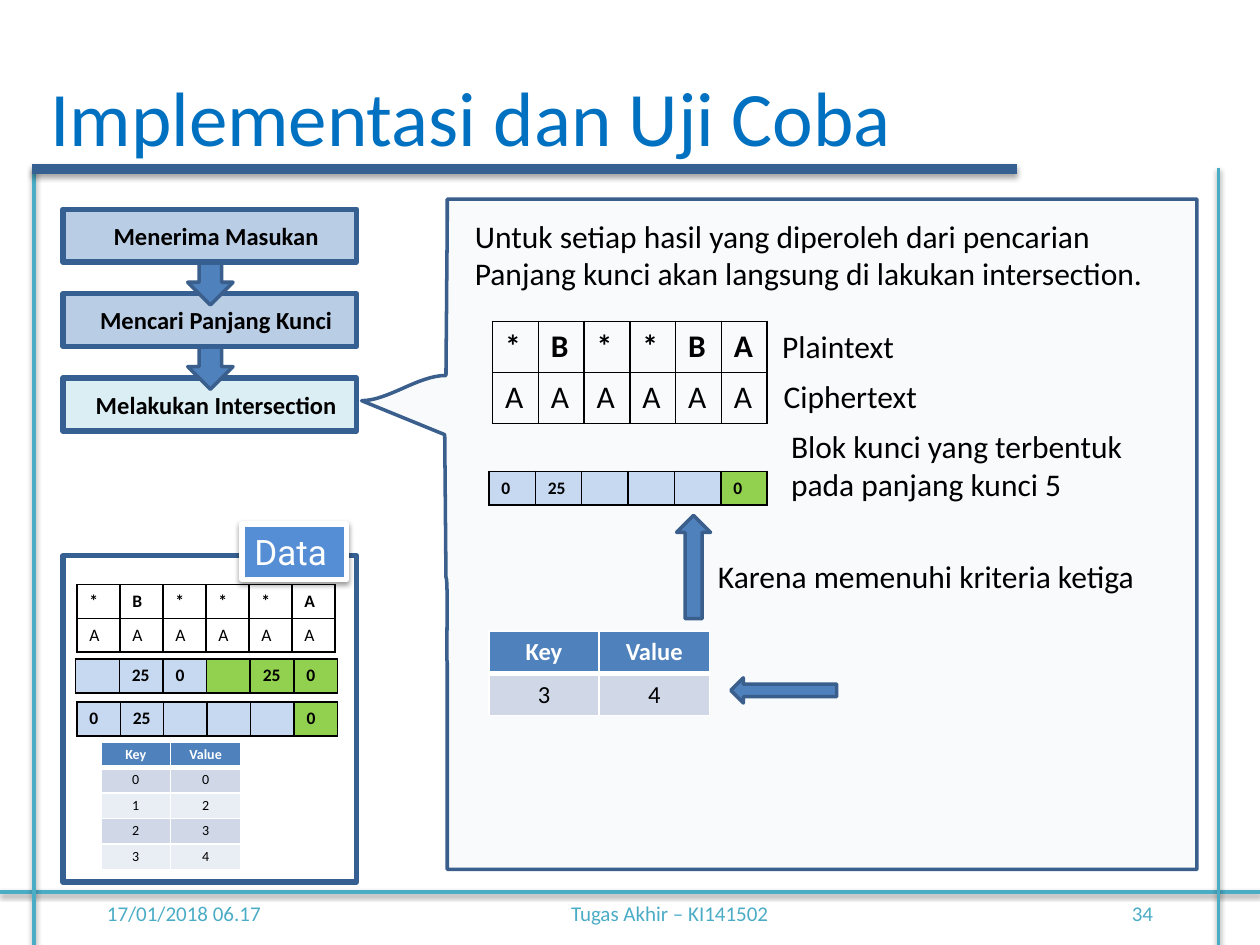
from dataclasses import dataclass
from typing import Optional

from lxml.etree import SubElement
from pptx import Presentation
from pptx.dml.color import RGBColor
from pptx.enum.shapes import MSO_CONNECTOR, MSO_SHAPE
from pptx.enum.text import MSO_ANCHOR, PP_ALIGN
from pptx.oxml.ns import qn
from pptx.util import Inches, Pt

BLUE, LIGHT_BLUE, GREEN = "4F81BD", "C6D9F1", "92D050"
NAVY, EDGE, TEAL = "376092", "3A5F8C", "4BACC6"
BLACK, WHITE = "000000", "FFFFFF"
LEFT, CENTER, RIGHT = PP_ALIGN.LEFT, PP_ALIGN.CENTER, PP_ALIGN.RIGHT
TOP, MIDDLE = MSO_ANCHOR.TOP, MSO_ANCHOR.MIDDLE


@dataclass
class Label:
    text: str
    at: tuple
    size: int = 18
    color: str = BLACK
    align: PP_ALIGN = LEFT
    anchor: MSO_ANCHOR = TOP


@dataclass
class Block:
    kind: MSO_SHAPE
    at: tuple
    fill: Optional[str]
    line: str
    width: float


@dataclass
class Grid:
    rows: list
    at: tuple
    size: int
    fills: Optional[list] = None
    keyed: bool = False
    inset: tuple = (0.1, 0.05)


def rgb(color: str) -> RGBColor:
    return RGBColor.from_string(color)


def box_at(at: tuple) -> list:
    return [Inches(length) for length in at]


def write(para, text: str, size: int, color: str, bold: bool = False,
          font: str = "Calibri") -> None:
    span = para.add_run()
    span.text = text
    span.font.name, span.font.size, span.font.bold = font, Pt(size), bold
    span.font.color.rgb = rgb(color)


def set_shadow(shape, distance: float = 0, alpha: int = 0) -> None:
    """Give the shape a downward shadow, or none when alpha is zero."""
    effects = SubElement(shape._element.spPr, qn("a:effectLst"))
    if alpha:
        outer = SubElement(effects, qn("a:outerShdw"), blurRad=str(Pt(3.1)),
                           dist=str(Pt(distance)), dir="5400000", rotWithShape="0")
        tint = SubElement(outer, qn("a:srgbClr"), val=BLACK)
        SubElement(tint, qn("a:alpha"), val=str(alpha * 1000))


def add_label(label: Label) -> None:
    frame = page.shapes.add_textbox(*box_at(label.at)).text_frame
    frame.word_wrap, frame.vertical_anchor = True, label.anchor
    frame.paragraphs[0].alignment = label.align
    write(frame.paragraphs[0], label.text, label.size, label.color)


def add_rule(start: tuple, end: tuple, color: str, width: float,
             distance: float, alpha: int) -> None:
    rule = page.shapes.add_connector(MSO_CONNECTOR.STRAIGHT, *box_at(start + end))
    rule.line.color.rgb, rule.line.width = rgb(color), Pt(width)
    set_shadow(rule, distance, alpha)


def add_block(block: Block):
    shape = page.shapes.add_shape(block.kind, *box_at(block.at))
    if block.fill:
        shape.fill.solid()
        shape.fill.fore_color.rgb = rgb(block.fill)
    else:
        shape.fill.background()
    shape.line.color.rgb, shape.line.width = rgb(block.line), Pt(block.width)
    return shape


def set_border(cell, side: str, color: str, width: float) -> None:
    line = SubElement(cell._tc.get_or_add_tcPr(), qn(f"a:{side}"), w=str(Pt(width)))
    SubElement(SubElement(line, qn("a:solidFill")), qn("a:srgbClr"), val=color)


def add_grid(grid: Grid) -> None:
    shape = page.shapes.add_table(len(grid.rows), len(grid.rows[0]), *box_at(grid.at))
    table = shape.table
    table.first_row = table.horz_banding = False
    for r, texts in enumerate(grid.rows):
        for c, text in enumerate(texts):
            cell = table.cell(r, c)
            cell.margin_left = cell.margin_right = Inches(grid.inset[0])
            cell.margin_top = cell.margin_bottom = Inches(grid.inset[1])
            header = r == 0
            # Borders precede the fill in the cell properties
            for side in ("lnL", "lnR", "lnT", "lnB"):
                heavy = grid.keyed and (r, side) in ((0, "lnB"), (1, "lnT"))
                set_border(cell, side, WHITE if grid.keyed else BLACK, 3 if heavy else 1)
            if grid.keyed:
                fill = BLUE if header else ("E9EDF4", "D0D8E8")[r % 2]
            else:
                fill = grid.fills[c] if grid.fills else None
            if fill:
                cell.fill.solid()
                cell.fill.fore_color.rgb = rgb(fill)
            else:
                cell.fill.background()
            para = cell.text_frame.paragraphs[0]
            para.alignment = CENTER if grid.keyed else LEFT
            if text:
                write(para, text, grid.size, WHITE if grid.keyed and header else BLACK, header)
            else:
                SubElement(para._p, qn("a:endParaRPr"), sz=str(grid.size * 100))


def curve(a: tuple, b: tuple, c: tuple, d: tuple, steps: int = 16) -> list:
    """Points along a cubic curve, after its start."""
    points = []
    for t in (step / steps for step in range(1, steps + 1)):
        weights = ((1 - t) ** 3, 3 * t * (1 - t) ** 2, 3 * t * t * (1 - t), t ** 3)
        points.append(tuple(sum(w * p[axis] for w, p in zip(weights, (a, b, c, d)))
                            for axis in (0, 1)))
    return points


deck = Presentation()
deck.slide_width, deck.slide_height = Inches(10), Inches(7.5)
page = deck.slides.add_slide(deck.slide_layouts[5])

# Title
title = page.shapes.title
title.left, title.top, title.width, title.height = box_at((0.3, 0.5, 6.95, 0.84))
title.text_frame.word_wrap, title.text_frame.vertical_anchor = False, TOP
title.text_frame.paragraphs[0].alignment = LEFT
write(title.text_frame.paragraphs[0], "Implementasi dan Uji Coba", 44, "0070C0")

# Footer and frame lines
add_label(Label("17/01/2018 06.17", (0.75, 7, 2.08, 0.5), 12, TEAL, LEFT, MIDDLE))
add_label(Label("Tugas Akhir – KI141502 ", (3.75, 7, 3.17, 0.5), 12, TEAL, CENTER, MIDDLE))
add_label(Label("34", (7.17, 7, 2.08, 0.5), 12, TEAL, RIGHT, MIDDLE))
for start, end in (((0, 7.08), (10, 7.08)), ((0.27, 1.33), (0.27, 7.5)),
                   ((9.67, 1.33), (9.67, 7.5))):
    add_rule(start, end, TEAL, 2, 1.6, 38)
add_rule((0.25, 1.34), (8.07, 1.34), NAVY, 6, 1.8, 35)

# Callout pointing at the current step
outline = [(9.5, 6.9), (3.55, 6.9), (3.55, 5.26)]
outline += curve((3.55, 5.26), (3.54, 5.25), (3.56, 4.6), (3.54, 4.58))
outline += [(3.53, 3.45), (2.87, 3.18)]
outline += curve((2.87, 3.18), (3.08, 3.18), (3.32, 2.98), (3.54, 2.98))
outline += curve((3.54, 2.98), (3.54, 2.96), (3.55, 1.77), (3.55, 1.75))
outline += [(3.55, 1.58)]
builder = page.shapes.build_freeform(Inches(9.5), Inches(1.58))
builder.add_line_segments([box_at(point) for point in outline])
callout = builder.convert_to_shape()
callout.fill.solid()
callout.fill.fore_color.rgb = rgb("DCE6F2")
SubElement(callout._element.spPr.find(".//" + qn("a:srgbClr")), qn("a:alpha"), val="20000")
callout.line.color.rgb, callout.line.width = rgb(EDGE), Pt(2)
set_shadow(callout)

# Data panel with its tab
set_shadow(add_block(Block(MSO_SHAPE.RECTANGLE, (0.5, 4.41, 2.33, 2.59), None, NAVY, 3)))
tab = add_block(Block(MSO_SHAPE.RECTANGLE, (1.92, 4.16, 0.83, 0.44), "558ED5", WHITE, 3))
set_shadow(tab, 1.6, 38)
tab_para = tab.text_frame.paragraphs[0]
tab_para.alignment, tab_para.space_after = LEFT, Pt(3)
write(tab_para, "Data", 20, WHITE, font="Roboto")

# Steps, last first so that each arrow overlaps the step below it
steps = ("Menerima Masukan", "Mencari Panjang Kunci", "Melakukan Intersection")
for index in (2, 1, 0):
    top = 1.66 + 0.67 * index
    step = add_block(Block(MSO_SHAPE.RECTANGLE, (0.5, top, 2.33, 0.42),
                           "DBEEF4" if index == 2 else "B9CDE5", NAVY, 3))
    set_shadow(step)
    step.text_frame.margin_left = Inches(0.2)
    step.text_frame.paragraphs[0].alignment = CENTER
    write(step.text_frame.paragraphs[0], steps[index], 14, BLACK, True)
    if index:
        set_shadow(add_block(Block(MSO_SHAPE.DOWN_ARROW, (1.49, top - 0.33, 0.36, 0.42),
                                   BLUE, EDGE, 2)))

# Tables
first_key = [LIGHT_BLUE] * 3 + [GREEN] * 3
next_key = [LIGHT_BLUE] * 5 + [GREEN]
key_row = ["0", "25", "", "", "", "0"]
for grid in (
    Grid([["", "25", "0", "", "25", "0"]], (0.6, 5.23, 2.08, 0.27), 10, first_key),
    Grid([key_row], (0.61, 5.57, 2.07, 0.27), 10, next_key),
    Grid([["Key", "Value"], ["0", "0"], ["1", "2"], ["2", "3"], ["3", "4"]],
         (0.8, 5.89, 1.11, 1.01), 8, keyed=True, inset=(0.06, 0.03)),
    Grid([["Key", "Value"], ["3", "4"]], (3.88, 5.01, 1.75, 0.67), 14, keyed=True),
    Grid([list("*B***A"), list("AAAAAA")], (0.61, 4.64, 2.05, 0.53), 10),
    Grid([list("*B**BA"), list("AAAAAA")], (3.91, 2.55, 2.18, 0.81), 18),
    Grid([key_row], (3.88, 3.74, 2.21, 0.27), 10, next_key),
):
    add_grid(grid)

# Explanations and arrows inside the callout
for label in (
    Label("Untuk setiap hasil yang diperoleh dari pencarian Panjang kunci akan langsung "
          "di lakukan intersection.", (3.67, 1.67, 5.75, 0.71)),
    Label("Plaintext", (6.11, 2.55, 1.84, 0.4)),
    Label("Ciphertext", (6.12, 2.94, 1.59, 0.4)),
    Label("Blok kunci yang terbentuk pada panjang kunci 5", (6.18, 3.34, 2.83, 1.01)),
    Label("Karena memenuhi kriteria ketiga", (5.6, 4.37, 4.64, 0.4)),
):
    add_label(label)
for kind, at in ((MSO_SHAPE.LEFT_ARROW, (5.8, 5.38, 0.84, 0.2)),
                 (MSO_SHAPE.UP_ARROW, (5.37, 4.09, 0.27, 0.82))):
    set_shadow(add_block(Block(kind, at, BLUE, EDGE, 2)))

deck.save("out.pptx")
